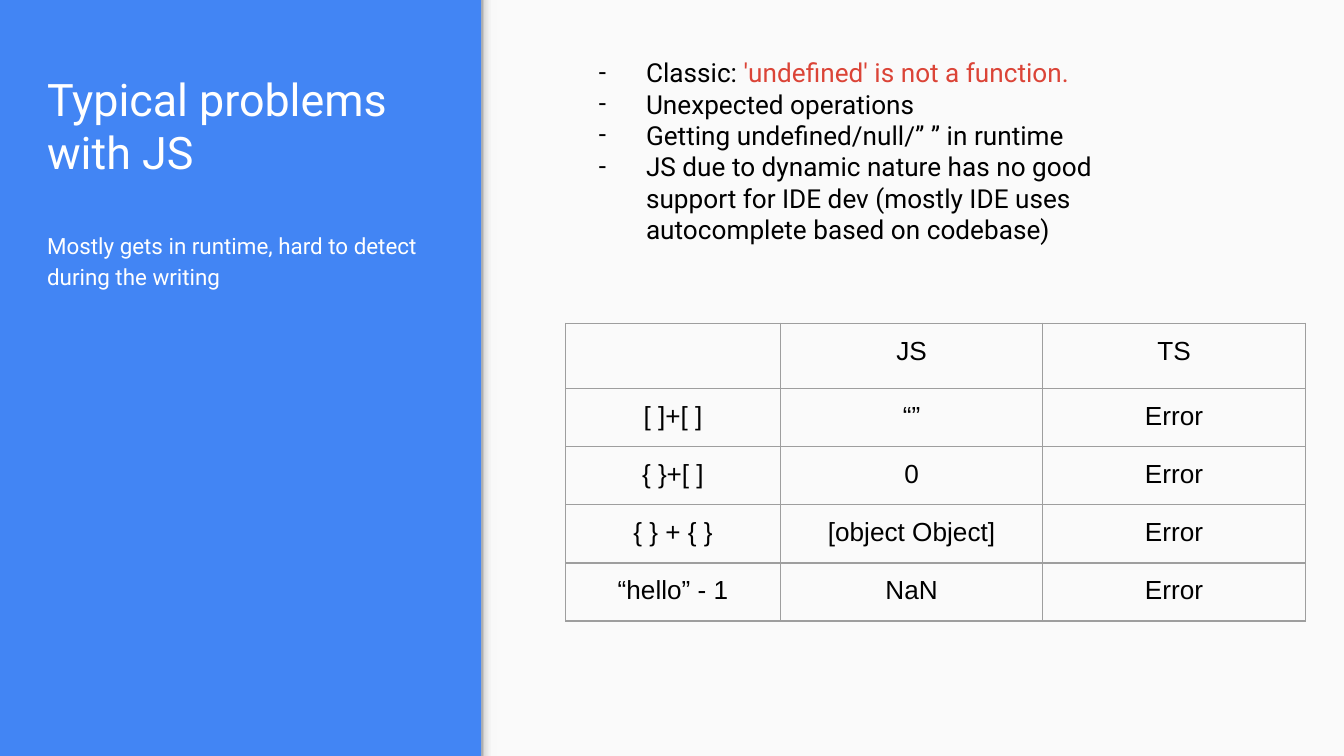
from lxml import etree
from pptx import Presentation
from pptx import util as u
from pptx.dml.color import RGBColor
from pptx.enum import shapes, text
from pptx.oxml import ns

BLUE = RGBColor(0x42, 0x85, 0xF4)
PAPER = RGBColor(0xFA, 0xFA, 0xFA)
WHITE = RGBColor(0xFF, 0xFF, 0xFF)
BLACK = RGBColor(0x00, 0x00, 0x00)
RED = RGBColor(0xDB, 0x44, 0x37)
GREY = RGBColor(0x9E, 0x9E, 0x9E)
SHADOW_STOPS = [
    (0, RGBColor(0x99, 0x99, 0x99)),
    (20, RGBColor(0xDE, 0xDE, 0xDE)),
    (64, RGBColor(0xF9, 0xF9, 0xF9)),
    (100, RGBColor(0xF9, 0xF9, 0xF9)),
]
INSET = u.Cm(0.25)
SLIDE_WIDTH, SLIDE_HEIGHT = 25.4, 14.29
PANEL_LEFT = 9.1

BULLETS = [
    [("Classic: ", BLACK), ("'undefined' is not a function.", RED)],
    [("Unexpected operations", BLACK)],
    [("Getting undefined/null/” ” in runtime", BLACK)],
    [("JS due to dynamic nature has no good support for IDE dev "
      "(mostly IDE uses autocomplete based on codebase)", BLACK)],
]
RESULTS = [
    ["", "JS", "TS"],
    ["[ ]+[ ]", "“”", "Error"],
    ["{ }+[ ]", "0", "Error"],
    ["{ } + { }", "[object Object]", "Error"],
    ["“hello” - 1", "NaN", "Error"],
]


def add_xml(parent, tag, **attributes):
    """Append a DrawingML element to a parent and return it."""
    return etree.SubElement(parent, ns.qn(tag), attributes)


def set_font(font, name, size, colour):
    """Set the name, size and colour of a font."""
    font.name = name
    font.size = u.Pt(size)
    font.color.rgb = colour


def set_indent(para, left, first):
    """Set the left margin and first-line indent and return the properties."""
    properties = para._p.get_or_add_pPr()
    properties.set("marL", str(u.Cm(left)))
    properties.set("indent", str(u.Cm(first)))
    return properties


def set_frame(frame, anchor=text.MSO_ANCHOR.TOP):
    """Give a text frame its wrapping, insets and anchor."""
    frame.word_wrap = True
    frame.auto_size = text.MSO_AUTO_SIZE.NONE
    frame.vertical_anchor = anchor
    frame.margin_left = frame.margin_right = INSET
    frame.margin_top = frame.margin_bottom = INSET


def add_band(page, left, top, width, height):
    """Add a rectangle without outline or shadow."""
    band = page.shapes.add_shape(
        shapes.MSO_SHAPE.RECTANGLE,
        u.Cm(left), u.Cm(top), u.Cm(width), u.Cm(height))
    band.shadow.inherit = False
    band.line.fill.background()
    return band


def add_panel(page, left, top, width, height):
    """Draw the light panel and the soft shade along its left edge."""
    panel = add_band(page, left, top, width, height)
    panel.fill.solid()
    panel.fill.fore_color.rgb = PAPER

    shade = add_band(page, left, top, 0.3, height)
    shade.fill.gradient()
    shade.fill.gradient_angle = 0
    stops = shade.element.spPr.find(".//" + ns.qn("a:gsLst"))
    for stop in list(stops):
        stops.remove(stop)
    for position, colour in SHADOW_STOPS:
        stop = add_xml(stops, "a:gs", pos=str(position * 1000))
        add_xml(stop, "a:srgbClr", val=str(colour))


def fill_placeholder(holder, box, wording, size, anchor):
    """Move a placeholder to a box and write its white text."""
    holder.left, holder.top, holder.width, holder.height = map(u.Cm, box)
    set_frame(holder.text_frame, anchor)
    holder.text_frame.text = wording
    para = holder.text_frame.paragraphs[0]
    para.alignment = text.PP_ALIGN.LEFT
    para.space_before = u.Pt(0)
    add_xml(set_indent(para, 0, 0), "a:buNone")
    set_font(para.font, "Roboto", size, WHITE)
    return para


def fill_sidebar(page, left, top, width):
    """Write the title and the remark below it."""
    fill_placeholder(page.shapes.title, (left, top, width, 2.64),
                     "Typical problems with JS", 24, text.MSO_ANCHOR.BOTTOM)
    remark = fill_placeholder(
        page.placeholders[1], (left, top + 3.07, width, 8.79),
        "Mostly gets in runtime, hard to detect during the writing",
        12, text.MSO_ANCHOR.TOP)
    remark.line_spacing = 1.15
    remark.space_after = u.Pt(16)


def add_bullets(page, left, top, width, height):
    """Add the dashed list of problems."""
    box = page.shapes.add_textbox(
        u.Cm(left), u.Cm(top), u.Cm(width), u.Cm(height))
    frame = box.text_frame
    set_frame(frame)
    for index, parts in enumerate(BULLETS):
        para = frame.add_paragraph() if index else frame.paragraphs[0]
        properties = set_indent(para, 1.27, -0.89)
        add_xml(add_xml(properties, "a:buClr"), "a:srgbClr", val=str(BLACK))
        add_xml(properties, "a:buSzPts", val="1400")
        add_xml(properties, "a:buFont", typeface="Roboto")
        add_xml(properties, "a:buChar", char="-")
        for wording, colour in parts:
            span = para.add_run()
            span.text = wording
            set_font(span.font, "Roboto", 14, colour)


def set_borders(cell):
    """Draw a thin grey line on each side of a cell."""
    properties = cell._tc.get_or_add_tcPr()
    for index, side in enumerate(("a:lnL", "a:lnR", "a:lnT", "a:lnB")):
        line = etree.Element(ns.qn(side), w=str(u.Pt(0.75)))
        add_xml(add_xml(line, "a:solidFill"), "a:srgbClr", val=str(GREY))
        properties.insert(index, line)


def add_results(page, left, top, widths, heights):
    """Add the table that compares JS with TS."""
    table = page.shapes.add_table(
        len(heights), len(widths), u.Cm(left), u.Cm(top),
        u.Cm(sum(widths)), u.Cm(sum(heights))).table
    table.first_row = table.horz_banding = False
    for column, width in zip(table.columns, widths):
        column.width = u.Cm(width)
    for row, height, wordings in zip(table.rows, heights, RESULTS):
        row.height = u.Cm(height)
        for cell, wording in zip(row.cells, wordings):
            cell.fill.background()
            cell.margin_left = cell.margin_right = INSET
            cell.margin_top = cell.margin_bottom = INSET
            cell.text = wording
            para = cell.text_frame.paragraphs[0]
            para.alignment = text.PP_ALIGN.CENTER
            set_font(para.font, "Arial", 14, BLACK)
            set_borders(cell)


def main():
    """Build and save the slide."""
    deck = Presentation()
    deck.slide_width, deck.slide_height = u.Cm(SLIDE_WIDTH), u.Cm(SLIDE_HEIGHT)
    page = deck.slides.add_slide(deck.slide_layouts[1])
    page.background.fill.solid()
    page.background.fill.fore_color.rgb = BLUE
    add_panel(page, PANEL_LEFT, 0, SLIDE_WIDTH - PANEL_LEFT, SLIDE_HEIGHT)
    fill_sidebar(page, 0.64, 0.99, 7.8)
    add_results(page, 10.69, 6.11, [4.06, 4.96, 4.96], [1.23] + [1.1] * 4)
    add_bullets(page, 10.69, 0.82, 11.33, 4.11)
    deck.save("out.pptx")


if __name__ == "__main__":
    main()
